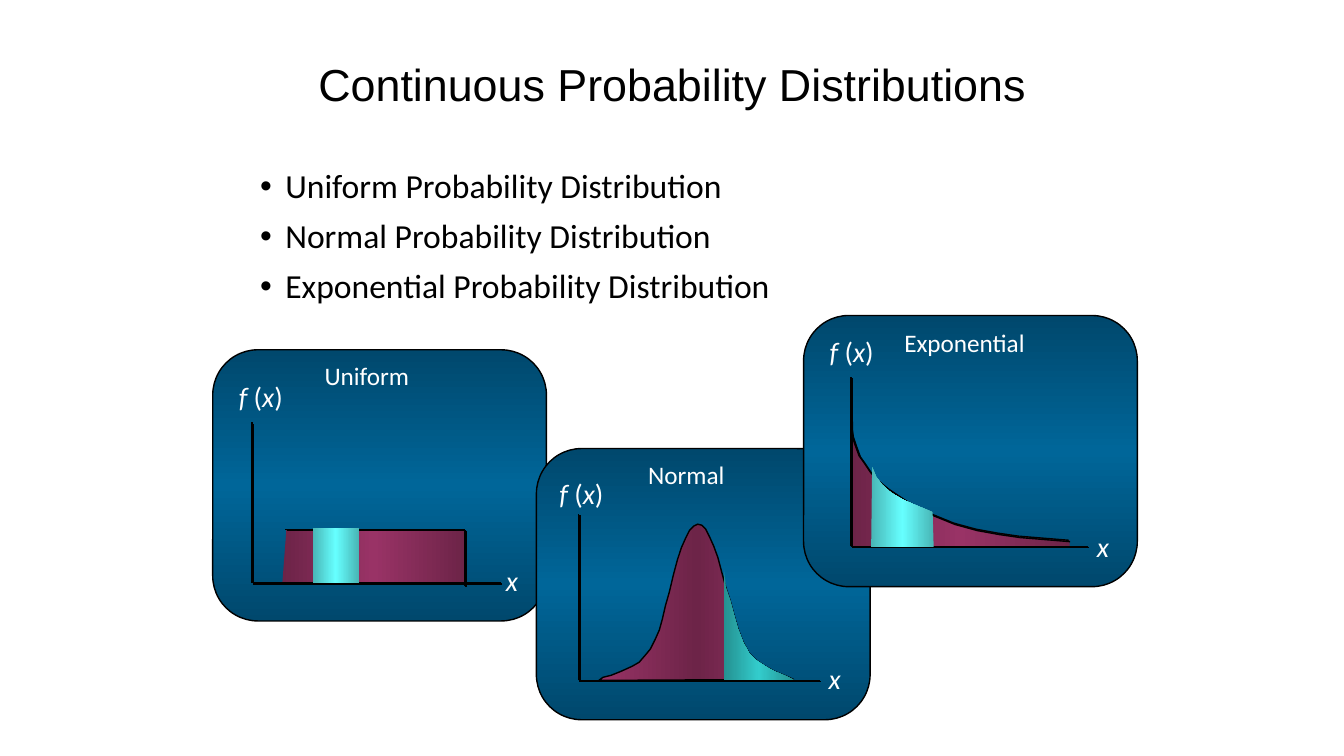
"""Builds a slide on three continuous probability distributions."""
from lxml import etree
from pptx import Presentation
from pptx import util as u
from pptx.dml.color import RGBColor
from pptx.enum import shapes, text
from pptx.oxml import parse_xml
from pptx.oxml.ns import nsdecls, qn

BLACK = RGBColor(0x00, 0x00, 0x00)
WHITE = RGBColor(0xFF, 0xFF, 0xFF)
BLUE = RGBColor(0x00, 0x66, 0x99)
PLUM = RGBColor(0x99, 0x33, 0x66)
CYAN = RGBColor(0x66, 0xFF, 0xFF)
TEAL = RGBColor(0x33, 0xCC, 0xCC)
SHADOW = ('<a:effectLst %s><a:outerShdw dist="17961" dir="2700000"><a:srgbClr val="%s"/>'
          '</a:outerShdw></a:effectLst>' % (nsdecls("a"), BLACK))


def inches(*values):
    return [u.Inches(value) for value in values]


def apply(target, formats):
    for name, value in formats.items():
        setattr(target, name, value)


class DistributionSlide:
    def __init__(self, deck):
        self.slide = deck.slides.add_slide(deck.slide_layouts[1])
        self.canvas = self.slide.shapes
        self.label_font = {"name": "Calibri", "italic": False}

    def placeholder(self, index, box, lines, font, paragraph_format):
        holder = self.slide.placeholders[index]
        apply(holder, dict(zip(("left", "top", "width", "height"), inches(*box))))
        frame = holder.text_frame
        frame.text = "\n".join(lines)
        frame.auto_size = text.MSO_AUTO_SIZE.NONE
        for paragraph in frame.paragraphs:
            apply(paragraph, paragraph_format)
            apply(paragraph.runs[0].font, font)
            paragraph.runs[0].font.color.rgb = BLACK
        return frame

    def bullets(self, box, lines, font, paragraph_format):
        frame = self.placeholder(1, box, lines, font, paragraph_format)
        for paragraph in frame.paragraphs:
            properties = paragraph._p.get_or_add_pPr()
            properties.set("marL", str(u.Inches(0.25)))
            properties.set("indent", str(u.Inches(-0.25)))
            etree.SubElement(properties, qn("a:buChar"), char="•")

    def gradient(self, shape, color, angle=0, dark_center=False):
        shape.fill.gradient()
        shape.fill.gradient_angle = angle
        stops = shape._element.spPr.find(qn("a:gradFill")).find(qn("a:gsLst"))
        for stop in list(stops):
            stops.remove(stop)
        for position in (0, 50000, 100000):
            stop = etree.SubElement(stops, qn("a:gs"), pos=str(position))
            tone = etree.SubElement(stop, qn("a:srgbClr"), val=str(color))
            if (position == 50000) == dark_center:
                etree.SubElement(tone, qn("a:shade"), val="46275")

    def outline(self, shape, visible=True):
        if visible:
            shape.line.color.rgb = BLACK
            shape.line.width = u.Pt(1)
        else:
            shape.line.fill.background()

    def box(self, kind, place, color, angle=0, outlined=False):
        shape = self.canvas.add_shape(kind, *inches(*place))
        shape.shadow.inherit = False
        self.gradient(shape, color, angle)
        self.outline(shape, outlined)

    def trace(self, points, close):
        corners = [inches(*point) for point in points]
        builder = self.canvas.build_freeform(*corners[0])
        builder.add_line_segments(corners[1:], close=close)
        return builder.convert_to_shape()

    def area(self, points, color, outlined=False):
        shape = self.trace(points, True)
        shape.shadow.inherit = False
        self.gradient(shape, color, dark_center=outlined)
        self.outline(shape, outlined)

    def curve(self, points):
        shape = self.trace(points, False)
        shape.fill.background()
        self.outline(shape)
        shape._element.spPr.append(parse_xml(SHADOW))

    def line(self, start, end):
        connector = self.canvas.add_connector(
            shapes.MSO_CONNECTOR.STRAIGHT, *inches(*start, *end))
        self.outline(connector)
        connector._element.spPr.append(parse_xml(SHADOW))

    def label(self, place, pieces, size, shadow=False):
        frame = self.canvas.add_textbox(*inches(*place)).text_frame
        apply(frame, {"word_wrap": False, "auto_size": text.MSO_AUTO_SIZE.SHAPE_TO_FIT_TEXT})
        for wording, italic in pieces:
            run = frame.paragraphs[0].add_run()
            run.text = wording
            apply(run.font, {**self.label_font, "size": u.Pt(size), "italic": italic})
            run.font.color.rgb = WHITE
            if shadow:
                run._r.get_or_add_rPr().insert(1, parse_xml(SHADOW))

    def panel(self, name, corner, name_box, density_at, variable_at, origin, axis_ends,
              region, outlined=False, lines=(), curve=None):
        self.canvas = self.slide.shapes.add_group_shape().shapes
        self.box(shapes.MSO_SHAPE.ROUNDED_RECTANGLE, (*corner, 3.31, 2.69), BLUE, 90, True)
        self.area(region, PLUM, outlined)
        top, right = axis_ends
        axes = ((origin, (origin[0], top)), (origin, (right, origin[1])))
        for start, end in (*axes, *lines):
            self.line(start, end)
        if curve:
            self.curve(curve)
        density = (("f ", True), ("(", False), ("x", True), (")", False))
        self.label((*density_at, 0.66, 0.43), density, 20, not outlined)
        self.label((*variable_at, 0.32, 0.43), (("x", True),), 20, not outlined)
        self.label((*name_box, 0.4), ((name, False),), 18)
        self.canvas = self.slide.shapes


deck = Presentation()
apply(deck, {"slide_width": u.Inches(13.33), "slide_height": u.Inches(7.5)})
page = DistributionSlide(deck)
page.placeholder(0, (2.42, 0.42, 8.5, 0.89), ["Continuous Probability Distributions"],
                 {"name": "Arial", "size": u.Pt(32)},
                 {"alignment": text.PP_ALIGN.CENTER, "line_spacing": 0.9})
page.bullets((2.48, 1.63, 8.45, 4.26),
             [f"{name} Probability Distribution" for name in ("Uniform", "Normal", "Exponential")],
             {"name": "Calibri", "size": u.Pt(24)},
             {"line_spacing": 0.9, "space_before": u.Pt(10)})

bell_left = [(5.94, 6.75), (5.98, 6.72), (6.06, 6.7), (6.16, 6.66), (6.27, 6.61), (6.34, 6.57),
             (6.4, 6.5), (6.45, 6.44), (6.5, 6.34), (6.54, 6.25), (6.57, 6.14), (6.6, 6.01),
             (6.64, 5.87), (6.68, 5.7), (6.72, 5.55), (6.76, 5.43), (6.8, 5.34), (6.84, 5.26),
             (6.88, 5.22), (6.92, 5.2)]
bell_right = [(6.96, 5.21), (7, 5.25), (7.04, 5.33), (7.08, 5.42), (7.12, 5.53), (7.16, 5.68)]
bell_tail = [(7.2, 5.83), (7.24, 5.95), (7.28, 6.1), (7.32, 6.24), (7.37, 6.37), (7.43, 6.48),
             (7.5, 6.55), (7.59, 6.61), (7.68, 6.66), (7.78, 6.7), (7.87, 6.74)]
decay = [(8.44, 4.24), (8.45, 4.32), (8.48, 4.41), (8.52, 4.52), (8.57, 4.59), (8.63, 4.68),
         (8.7, 4.76), (8.81, 4.85), (8.99, 4.97), (9.19, 5.08), (9.46, 5.19), (9.68, 5.25),
         (9.9, 5.29), (10.11, 5.32)]

page.panel("Uniform", (2.11, 3.47), (3.12, 3.53, 1.05), (2.27, 3.72), (4.92, 5.54),
           (2.5, 5.78), (4.19, 4.97),
           [(2.8, 5.79), (2.84, 5.26), (4.61, 5.26), (4.61, 5.79)],
           lines=[((4.61, 5.25), (4.61, 5.81)), ((2.83, 5.25), (4.61, 5.25))])
page.panel("Normal", (5.32, 4.45), (6.33, 4.51, 0.97), (5.45, 4.68), (8.12, 6.51),
           (5.74, 6.75), (5.1, 8.13), bell_left + bell_right + bell_tail, outlined=True)
page.panel("Exponential", (7.97, 3.13), (8.87, 3.2, 1.41), (8.13, 3.27), (10.78, 5.2),
           (8.44, 5.42), (3.74, 10.79), decay + [(10.61, 5.36), (10.61, 5.42), (8.44, 5.42)],
           lines=[((10.11, 5.32), (10.6, 5.36))], curve=[(8.44, 4.17)] + decay)

page.box(shapes.MSO_SHAPE.RECTANGLE, (3.1, 5.24, 0.46, 0.54), CYAN)
page.area([(7.18, 5.65)] + bell_tail + [(7.87, 6.75), (7.18, 6.75)], TEAL)
page.area([(8.65, 4.63), (8.69, 4.73), (8.75, 4.81), (8.84, 4.89), (8.96, 4.96), (9.1, 5.02),
           (9.25, 5.08), (9.26, 5.43), (8.64, 5.43)], CYAN)
deck.save("out.pptx")
